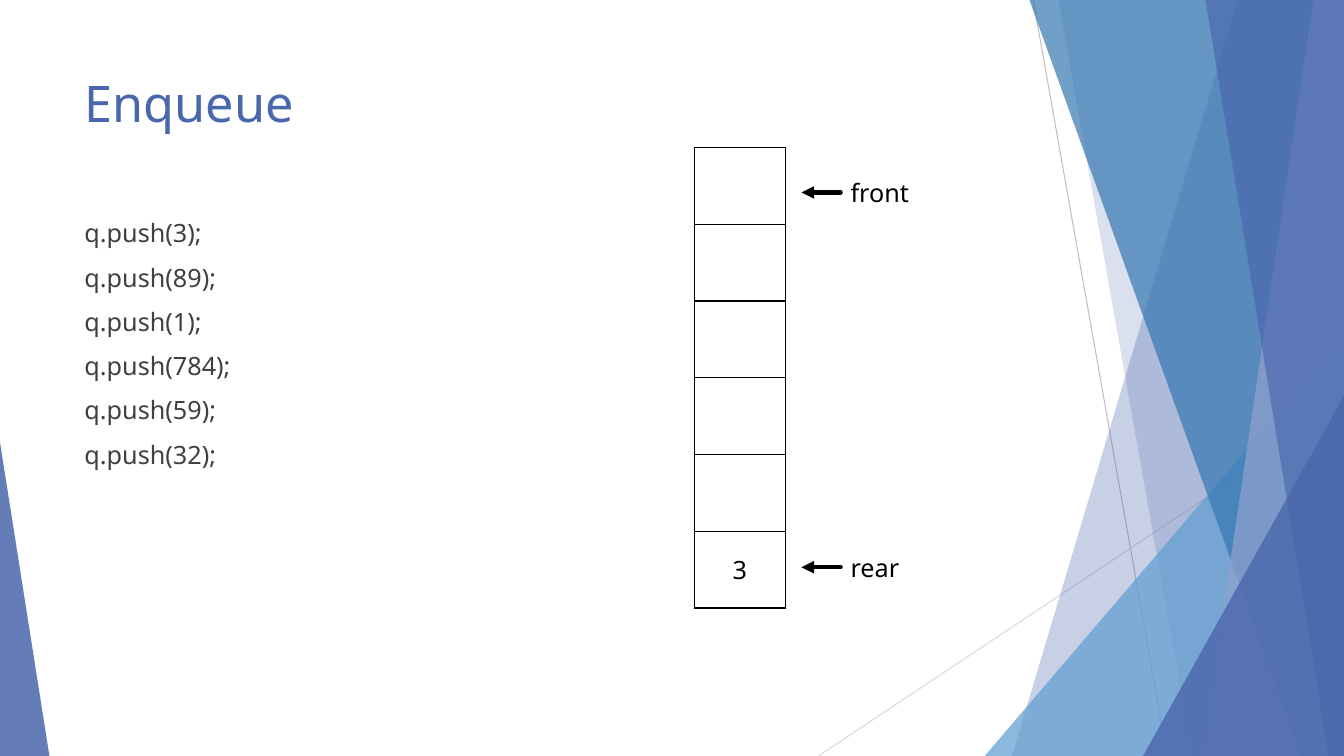
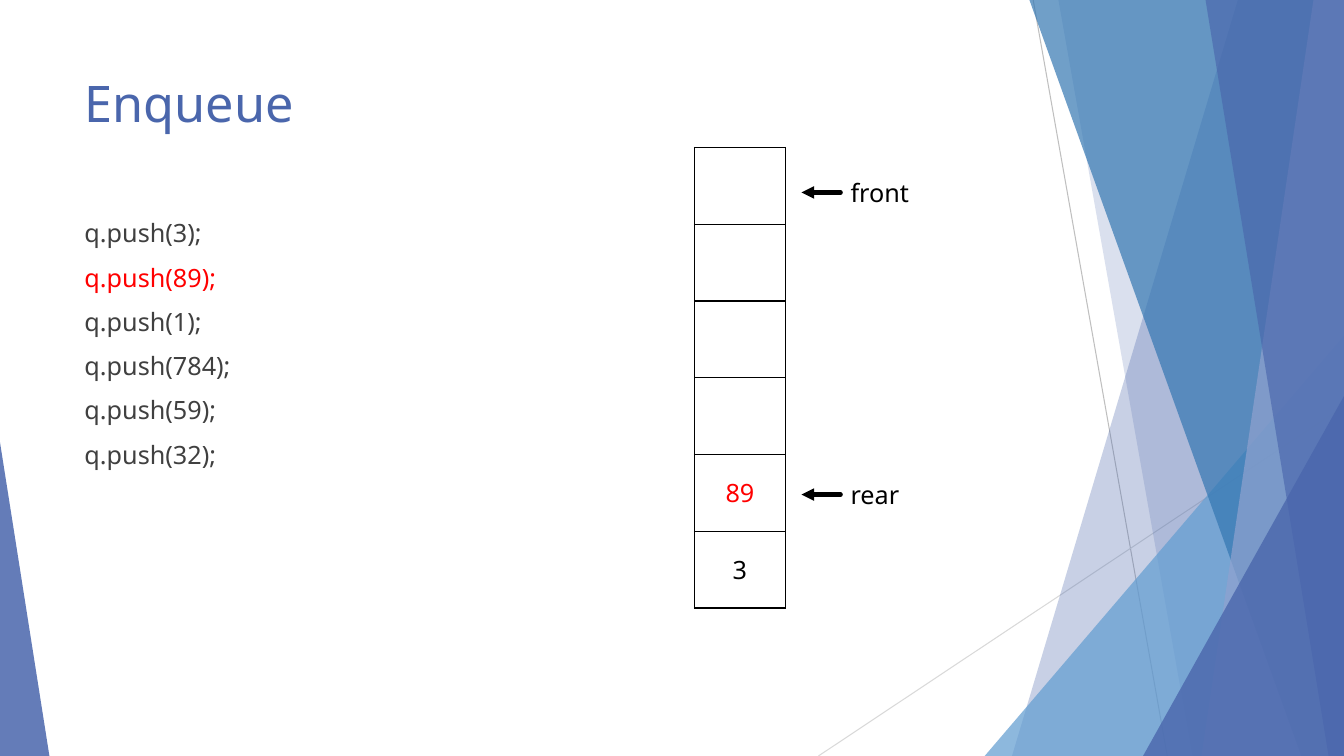
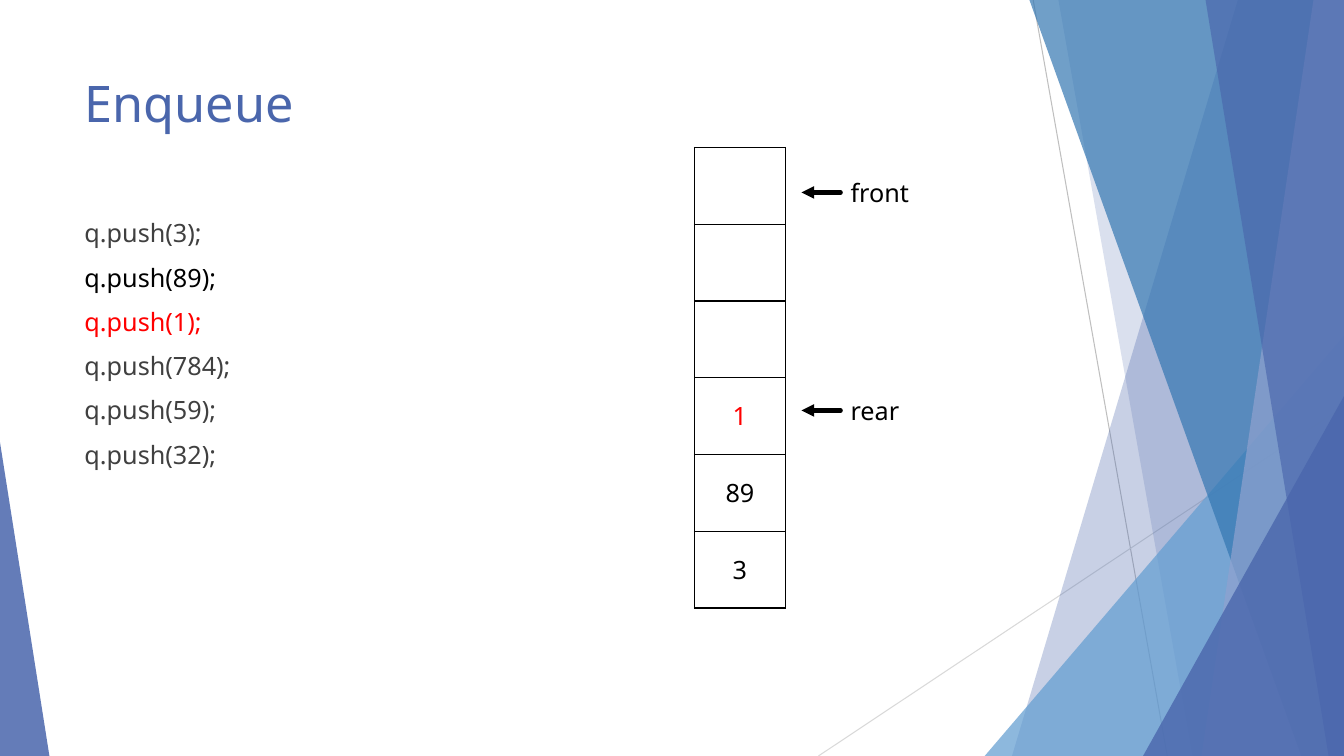
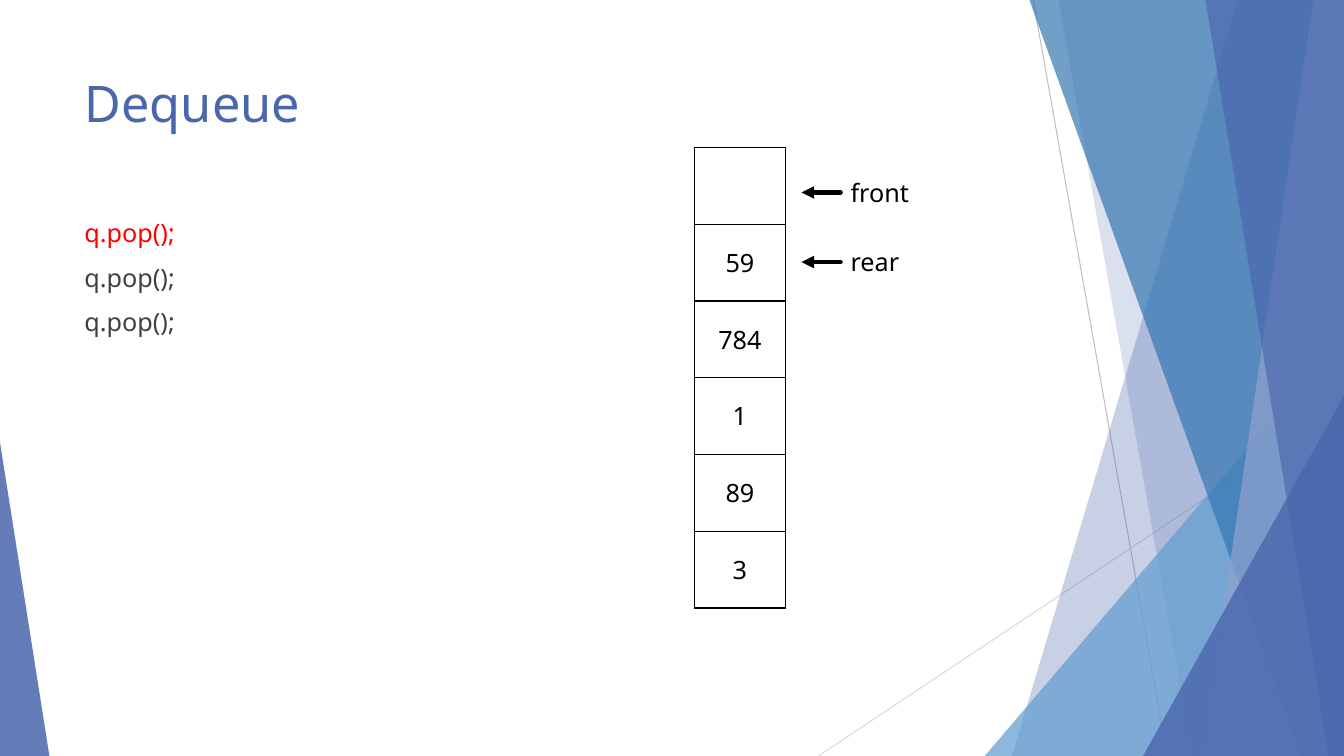
from lxml import etree
from pptx import Presentation
from pptx.dml.color import RGBColor
from pptx.enum.shapes import MSO_CONNECTOR, MSO_SHAPE
from pptx.enum.text import MSO_ANCHOR, MSO_AUTO_SIZE, PP_ALIGN
from pptx.oxml.ns import qn
from pptx.util import Pt

STRAIGHT = MSO_CONNECTOR.STRAIGHT
TRIANGLE = MSO_SHAPE.ISOSCELES_TRIANGLE
TOP, MIDDLE = MSO_ANCHOR.TOP, MSO_ANCHOR.MIDDLE
LEFT, CENTER = PP_ALIGN.LEFT, PP_ALIGN.CENTER
FIT_SHAPE = MSO_AUTO_SIZE.SHAPE_TO_FIT_TEXT
NO_FIT = MSO_AUTO_SIZE.NONE

# Shared style, lengths in points
WIDTH, HEIGHT = 960, 540
FONT = "Noto Sans"
BLUE, SKY, DEEP, PALE = "4A66AC", "629DD1", "3477B2", "90A2CF"
BLACK, GREY, RED = "000000", "404040", "FF0000"
MARGIN = 53.3
CELL_W, CELL_H, CELLS = 65, 54.85, 6
QUEUE_X, QUEUE_Y = 496, 105.4
FRONT_Y = 137.5
PUSHES = ["q.push(3);", "q.push(89);", "q.push(1);",
          "q.push(784);", "q.push(59);", "q.push(32);"]
POPS = ["q.pop();"] * 3


def rgb(color):
    return RGBColor.from_string(color)


def style(p, size, color, align=LEFT):
    p.alignment = align
    for r in p.runs:
        r.font.name = FONT
        r.font.size = Pt(size)
        r.font.color.rgb = rgb(color)


# Background art
def paint(sp, color, opacity):
    sp.shadow.inherit = False
    sp.line.fill.background()
    sp.fill.solid()
    sp.fill.fore_color.rgb = rgb(color)
    clr = sp.element.spPr.find(qn("a:solidFill"))[0]
    etree.SubElement(clr, qn("a:alpha"), val=str(opacity * 1000))
    return sp


def add_line(slide, x1, y1, x2, y2, color, width):
    line = slide.shapes.add_connector(STRAIGHT, Pt(x1), Pt(y1), Pt(x2), Pt(y2))
    line.line.color.rgb = rgb(color)
    line.line.width = Pt(width)
    etree.SubElement(line.element.spPr, qn("a:effectLst"))
    return line


def add_band(slide, top_x, bottom_x, color, opacity):
    """Band from a slanted left edge to the right side of the slide."""
    outline = slide.shapes.build_freeform(Pt(top_x), 0)
    outline.add_line_segments([(Pt(WIDTH), 0), (Pt(WIDTH), Pt(HEIGHT)),
                               (Pt(bottom_x), Pt(HEIGHT))])
    return paint(outline.convert_to_shape(), color, opacity)


def add_corner(slide, x, y, width, apex, color, opacity):
    """Right-angled triangle standing on the bottom edge."""
    sp = slide.shapes.add_shape(TRIANGLE, Pt(x), Pt(y), Pt(width), Pt(HEIGHT - y))
    sp.adjustments[0] = apex
    return paint(sp, color, opacity)


def add_art(slide, layout):
    """Draw the background art and hand it to the layout all slides share."""
    art = [
        add_line(slide, 738, 0, 833.8, HEIGHT, "BFBFBF", 0.75),
        add_line(slide, WIDTH, 290.2, 584.6, HEIGHT, "D9D9D9", 0.75),
        add_band(slide, 884.2, 722.9, BLUE, 30),
        add_band(slide, 756, 851.8, BLUE, 20),
        add_corner(slide, 703.4, 239.8, 256.6, 1, SKY, 72),
        add_band(slide, 735.3, 929.5, DEEP, 70),
        add_band(slide, 938.2, 858.2, PALE, 70),
        add_band(slide, 861.1, 949, BLUE, 65),
        add_corner(slide, 816.5, 283, 143.5, 1, BLUE, 80),
        add_corner(slide, 0, 316, 35.3, 0, BLUE, 85),
    ]
    for sp in art:
        layout.shapes.element.append(sp.element)


# Slide content
def add_title(slide, text):
    title = slide.shapes.title
    title.left, title.top = Pt(MARGIN), Pt(48)
    title.width, title.height = Pt(676.8), Pt(104)
    tf = title.text_frame
    tf.text = text
    tf.vertical_anchor = TOP
    tf.auto_size = NO_FIT
    style(tf.paragraphs[0], 36, BLUE)


def add_code(slide, lines, colors):
    box = slide.shapes.add_textbox(Pt(MARGIN), Pt(152), Pt(266.4), Pt(218.9))
    tf = box.text_frame
    tf.word_wrap = True
    tf.text = "\n".join(lines)
    for i, p in enumerate(tf.paragraphs):
        p.space_before = Pt(10)
        style(p, 18, colors.get(i, GREY))


def add_borders(cell):
    tcPr = cell._tc.get_or_add_tcPr()
    for side in ("a:lnL", "a:lnR", "a:lnT", "a:lnB"):
        ln = etree.SubElement(tcPr, qn(side), w=str(Pt(1)))
        fill = etree.SubElement(ln, qn("a:solidFill"))
        etree.SubElement(fill, qn("a:srgbClr"), val=BLACK)


def add_queue(slide, values, newest_color):
    """Column of cells, filled from the bottom up."""
    table = slide.shapes.add_table(CELLS, 1, Pt(QUEUE_X), Pt(QUEUE_Y),
                                   Pt(CELL_W), Pt(CELL_H * CELLS)).table
    table.first_row = table.horz_banding = False
    for i in range(CELLS):
        cell = table.cell(CELLS - 1 - i, 0)
        add_borders(cell)
        cell.fill.background()
        cell.vertical_anchor = MIDDLE
        if i < len(values):
            cell.text = values[i]
            color = newest_color if i == len(values) - 1 else BLACK
            style(cell.text_frame.paragraphs[0], 18, color, CENTER)


def add_pointer(slide, text, y):
    """Arrow to a queue cell with its label on the right."""
    x = 600.5
    arrow = add_line(slide, x, y, x - 28, y, BLACK, 3)
    ln = arrow.line._get_or_add_ln()
    ln.set("cap", "rnd")
    etree.SubElement(ln, qn("a:tailEnd"), type="triangle")
    box = slide.shapes.add_textbox(Pt(x), Pt(y - 14.6), Pt(89.3), Pt(29.1))
    tf = box.text_frame
    tf.word_wrap = True
    tf.auto_size = FIT_SHAPE
    tf.text = text
    style(tf.paragraphs[0], 18, BLACK)


def main():
    prs = Presentation()
    prs.slide_width, prs.slide_height = Pt(WIDTH), Pt(HEIGHT)
    layout = prs.slide_layouts.get_by_name("Title Only")

    # title, code lines, line colours, queue values, newest value, rear height
    steps = [
        ("Enqueue", PUSHES, {}, ["3"], BLACK, 405.2),
        ("Enqueue", PUSHES, {1: RED}, ["3", "89"], RED, 353.3),
        ("Enqueue", PUSHES, {1: BLACK, 2: RED}, ["3", "89", "1"], RED, 293.2),
        ("Dequeue", POPS, {0: RED}, ["3", "89", "1", "784", "59"], BLACK, 187.2),
    ]
    for i, (title, code, colors, values, newest, rear_y) in enumerate(steps):
        slide = prs.slides.add_slide(layout)
        if i == 0:
            add_art(slide, layout)
        add_pointer(slide, "front", FRONT_Y)
        add_title(slide, title)
        add_code(slide, code, colors)
        add_queue(slide, values, newest)
        add_pointer(slide, "rear", rear_y)
    prs.save("out.pptx")


main()
